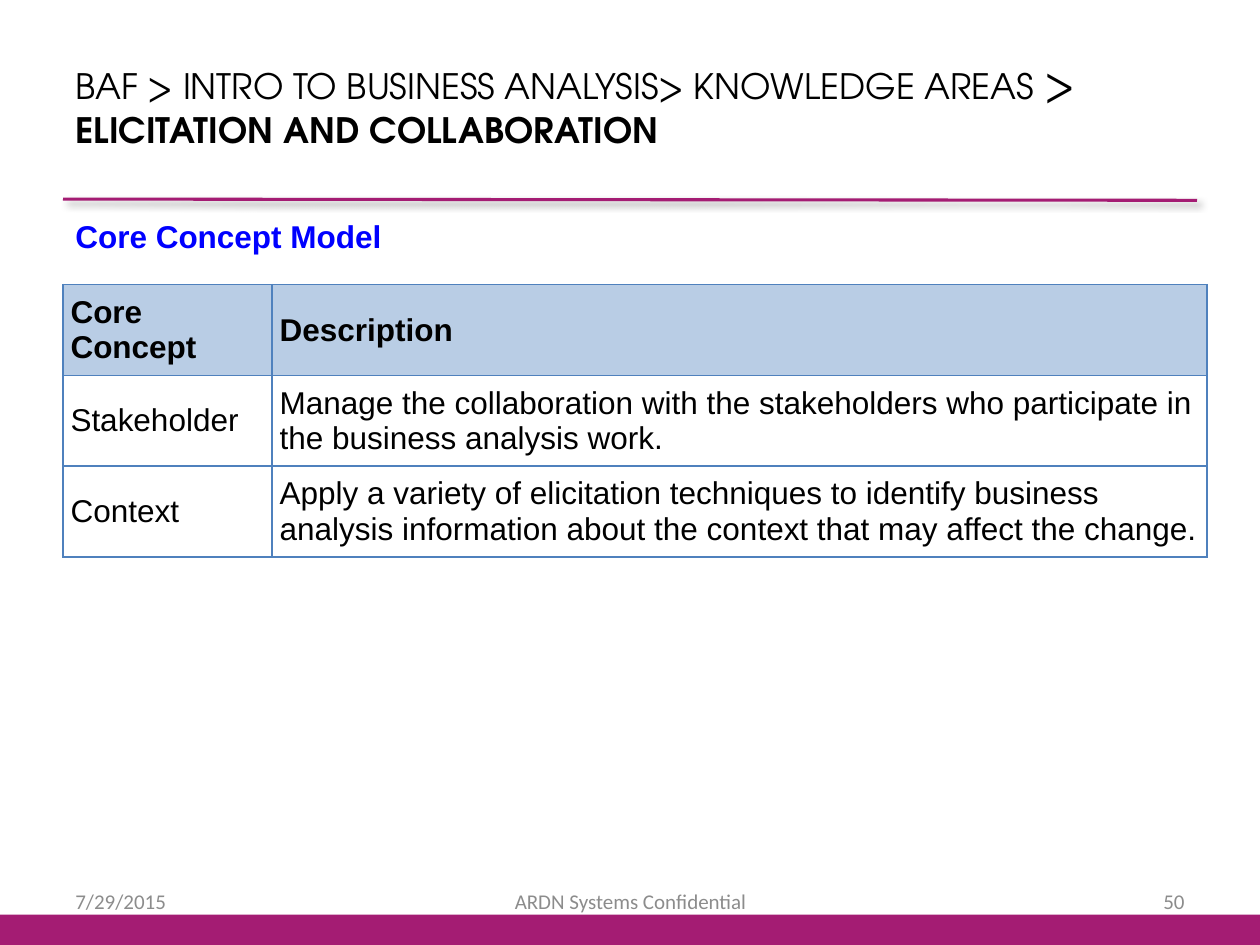
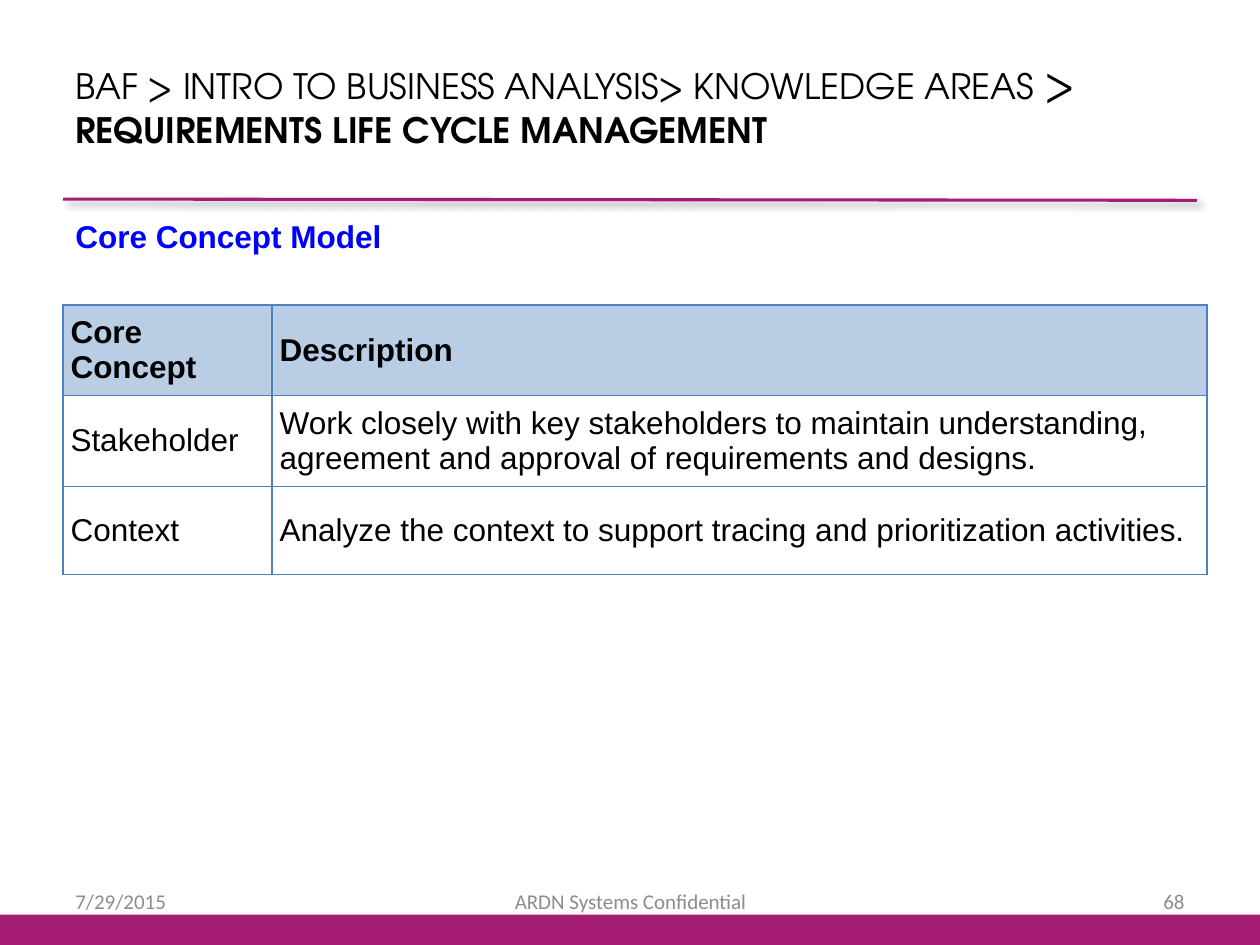
"""Builds two core concept slides with a shared title, rule, band and footer."""
from lxml.etree import SubElement
from pptx import Presentation
from pptx.dml.color import RGBColor
from pptx.enum.shapes import MSO_CONNECTOR, MSO_SHAPE
from pptx.enum.text import MSO_ANCHOR, PP_ALIGN
from pptx.oxml.ns import qn
from pptx.util import Inches, Pt

MAGENTA = RGBColor(0xA4, 0x1C, 0x73)
BLACK = RGBColor(0, 0, 0)
BLUE = RGBColor(0, 0, 0xFF)
GREY = RGBColor(0x8C, 0x8C, 0x8C)
HEADER_FILL = RGBColor(0xB9, 0xCD, 0xE5)
BORDER = RGBColor(0x4F, 0x81, 0xBD)

TITLE = {"name": "TeX Gyre Adventor", "size": Pt(20), "bold": False, "color": BLACK}
TITLE_ARROW = {**TITLE, "size": Pt(24)}
TITLE_TOPIC = {**TITLE, "bold": True}
HEADING = {"name": "Arial", "size": Pt(18), "bold": True, "color": BLUE}
CELL = {**HEADING, "bold": False, "color": BLACK}
HEADER_CELL = {**CELL, "bold": True}
FOOTER = {"name": "Calibri", "size": Pt(12), "bold": False, "color": GREY}

COLUMN_WIDTHS = (1.66, 7.42)
ROW_HEIGHTS = (0.7, 0.68, 0.7)
CELL_MARGIN = 0.06

PAGES = (
    {
        "topic": "ELICITATION AND COLLABORATION",
        "number": "50",
        "table_top": 2.26,
        "stakeholder": "Manage the collaboration with the stakeholders who participate in "
                       "the business analysis work.",
        "context": "Apply a variety of elicitation techniques to identify business "
                   "analysis information about the context that may affect the change.",
    },
    {
        "topic": "REQUIREMENTS LIFE CYCLE MANAGEMENT",
        "number": "68",
        "table_top": 2.42,
        "stakeholder": "Work closely with key stakeholders to maintain understanding, "
                       "agreement and approval of requirements and designs.",
        "context": "Analyze the context to support tracing and prioritization activities.",
    },
)


def add_span(para, text, style):
    """Add one run of text and apply its format values."""
    span = para.add_run()
    span.text = text
    for key, value in style.items():
        if key == "color":
            span.font.color.rgb = value
        else:
            setattr(span.font, key, value)


def add_text(page, place, spans, anchor=MSO_ANCHOR.MIDDLE, align=PP_ALIGN.LEFT):
    """Add a wrapping text box holding one paragraph of styled spans."""
    box = page.shapes.add_textbox(*map(Inches, place))
    box.text_frame.word_wrap = True
    box.text_frame.vertical_anchor = anchor
    para = box.text_frame.paragraphs[0]
    para.alignment = align
    for text, style in spans:
        add_span(para, text, style)


def add_band(page):
    """Add the coloured band along the bottom edge."""
    band = page.shapes.add_shape(
        MSO_SHAPE.RECTANGLE, *map(Inches, (0, 7.26, 10, 0.24)))
    band.shadow.inherit = False
    band.fill.solid()
    band.fill.fore_color.rgb = MAGENTA
    band.line.fill.background()


def add_title_rule(page):
    """Add the line under the title with its soft shadow."""
    rule = page.shapes.add_connector(
        MSO_CONNECTOR.STRAIGHT, *map(Inches, (0.5, 1.58, 9.5, 1.59)))
    rule.line.color.rgb = MAGENTA
    rule.line.width = Pt(1.75)
    effects = SubElement(rule._element.spPr, qn("a:effectLst"))
    shadow = SubElement(effects, qn("a:outerShdw"), blurRad=str(Pt(4)),
                        dist=str(Pt(3)), dir="2700000", rotWithShape="0")
    color = SubElement(shadow, qn("a:srgbClr"), val=str(BLACK))
    SubElement(color, qn("a:alpha"), val="40000")


def add_footer(page, number):
    """Add the date, the confidentiality note and the page number."""
    for left, width, text, align in (
        (0.5, 2.33, "7/29/2015", PP_ALIGN.LEFT),
        (3.42, 3.17, "ARDN Systems Confidential", PP_ALIGN.CENTER),
        (7.17, 2.33, number, PP_ALIGN.RIGHT),
    ):
        add_text(page, (left, 6.95, width, 0.4), [(text, FOOTER)], align=align)


def add_borders(cell):
    """Draw a thin line on all four sides of a cell."""
    properties = cell._tc.get_or_add_tcPr()
    for side in ("lnL", "lnR", "lnT", "lnB"):
        line = SubElement(properties, qn(f"a:{side}"), w=str(Pt(1)))
        fill = SubElement(line, qn("a:solidFill"))
        SubElement(fill, qn("a:srgbClr"), val=str(BORDER))


def fill_cell(cell, text, is_header):
    """Write a cell and set its margins, borders and fill."""
    for side in ("left", "right", "top", "bottom"):
        setattr(cell, f"margin_{side}", Inches(CELL_MARGIN))
    cell.vertical_anchor = MSO_ANCHOR.MIDDLE
    add_borders(cell)
    if is_header:
        cell.fill.solid()
        cell.fill.fore_color.rgb = HEADER_FILL
    else:
        cell.fill.background()
    add_span(cell.text_frame.paragraphs[0], text, HEADER_CELL if is_header else CELL)


def add_concept_table(page, top, rows):
    """Add the table of core concepts, its first row being the header."""
    place = (0.5, top, sum(COLUMN_WIDTHS), sum(ROW_HEIGHTS))
    table = page.shapes.add_table(
        len(rows), len(COLUMN_WIDTHS), *map(Inches, place)).table
    table.horz_banding = False
    for column, width in zip(table.columns, COLUMN_WIDTHS):
        column.width = Inches(width)
    for index, (row, height, texts) in enumerate(zip(table.rows, ROW_HEIGHTS, rows)):
        row.height = Inches(height)
        for cell, text in zip(row.cells, texts):
            fill_cell(cell, text, index == 0)


def add_concept_page(deck, content):
    """Add one complete core concept slide."""
    page = deck.slides.add_slide(deck.slide_layouts[6])
    add_band(page)
    add_title_rule(page)
    add_text(page, (0.5, 0.2, 9.25, 1.25), [
        ("BAF > INTRO TO BUSINESS ANALYSIS> KNOWLEDGE AREAS ", TITLE),
        ("> ", TITLE_ARROW),
        (content["topic"], TITLE_TOPIC),
    ])
    add_text(page, (0.5, 1.67, 9, 5.33), [("Core Concept Model", HEADING)],
             anchor=MSO_ANCHOR.TOP)
    add_footer(page, content["number"])
    add_concept_table(page, content["table_top"], (
        ("Core Concept", "Description"),
        ("Stakeholder", content["stakeholder"]),
        ("Context", content["context"]),
    ))


def main():
    """Build the deck and save it."""
    deck = Presentation()
    deck.slide_width = Inches(10)
    deck.slide_height = Inches(7.5)
    for content in PAGES:
        add_concept_page(deck, content)
    deck.save("out.pptx")


if __name__ == "__main__":
    main()
